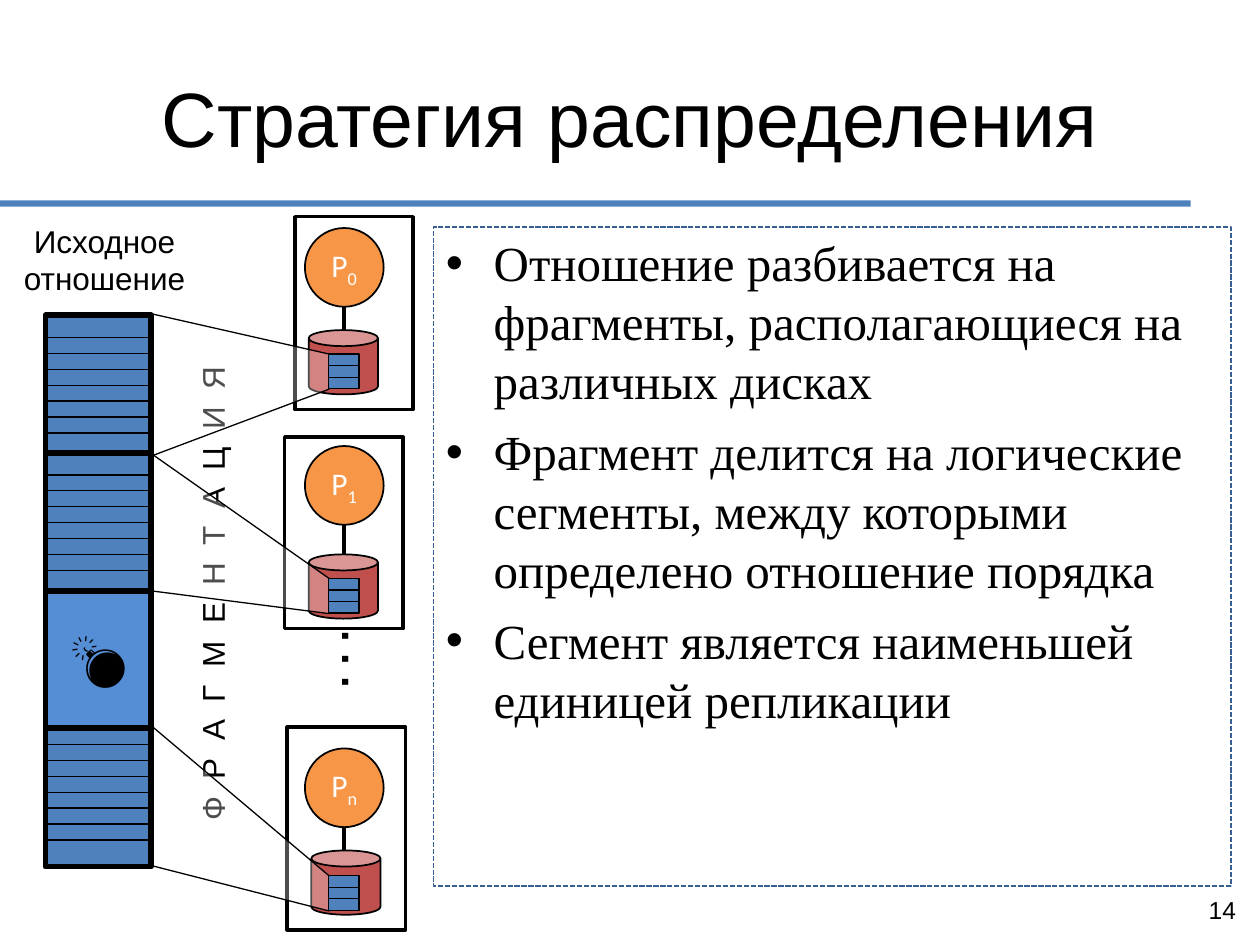
import pptx
import pptx.util
import pptx.dml.color
import pptx.enum.dml
import pptx.enum.shapes
import pptx.enum.text
import pptx.oxml.ns
from lxml import etree

COLORS = {
    "black": "000000", "white": "FFFFFF", "blue": "4F81BD", "navy": "376092",
    "sky": "558ED5", "orange": "F79646", "red": "C0504D",
}
COLUMNS, ROWS = 100, 75
SHAPE = pptx.enum.shapes.MSO_SHAPE
ALIGN = pptx.enum.text.PP_ALIGN
ANCHOR = pptx.enum.text.MSO_ANCHOR
qn = pptx.oxml.ns.qn


class Deck:
    """Style and current slide; lengths are columns and rows of the grid."""

    def __init__(self, width=10, height=7.5):
        self.prs = pptx.Presentation()
        self.prs.slide_width = pptx.util.Inches(width)
        self.prs.slide_height = pptx.util.Inches(height)
        self.slide = self.prs.slides.add_slide(self.prs.slide_layouts[6])
        self.shapes = self.slide.shapes

    def x(self, columns):
        return round(self.prs.slide_width * columns / COLUMNS)

    def y(self, rows):
        return round(self.prs.slide_height * rows / ROWS)

    def box(self, left, top, width, height):
        return self.x(left), self.y(top), self.x(width), self.y(height)

    def color(self, name):
        return pptx.dml.color.RGBColor.from_string(COLORS[name])

    def paint(self, sp, fill=None, line=None, weight=0.75):
        sp.shadow.inherit = False
        if fill:
            sp.fill.solid()
            sp.fill.fore_color.rgb = self.color(fill)
        else:
            sp.fill.background()
        if line:
            sp.line.color.rgb = self.color(line)
            sp.line.width = pptx.util.Pt(weight)
        else:
            sp.line.fill.background()
        return sp

    def shape(self, kind, box, fill=None, line="black", weight=0.75):
        return self.paint(self.shapes.add_shape(kind, *self.box(*box)), fill, line, weight)

    def run(self, p, text, size, font="Arial", color="black", bold=False):
        r = p.add_run()
        r.text = text
        r.font.size, r.font.name, r.font.bold = pptx.util.Pt(size), font, bold
        r.font.color.rgb = self.color(color)
        return r

    def text(self, box, text, size, align=ALIGN.CENTER, anchor=ANCHOR.MIDDLE,
             vert=None, bold=False, spacing=None, wrap=True):
        tf = self.shapes.add_textbox(*self.box(*box)).text_frame
        tf.word_wrap, tf.vertical_anchor = wrap, anchor
        tf.margin_left = tf.margin_right = tf.margin_top = tf.margin_bottom = 0
        if vert:
            tf._txBody.bodyPr.set("vert", vert)
        p = tf.paragraphs[0]
        p.alignment = align
        r = self.run(p, text, size, bold=bold)
        if spacing:
            r.font._element.set("spc", str(spacing))

    def bullets(self, box, items, size):
        sp = self.shape(SHAPE.RECTANGLE, box, None, "navy", 1)
        sp.line.dash_style = pptx.enum.dml.MSO_LINE.SQUARE_DOT
        tf = sp.text_frame
        tf.word_wrap, tf.vertical_anchor = True, ANCHOR.TOP
        for i, item in enumerate(items):
            p = tf.add_paragraph() if i else tf.paragraphs[0]
            p.alignment = ALIGN.LEFT
            if i:
                p.space_before = pptx.util.Pt(7)
            pPr = p._p.get_or_add_pPr()
            indent = self.x(3.8)
            pPr.set("marL", str(indent))
            pPr.set("indent", str(-indent))
            etree.SubElement(pPr, qn("a:buFont")).set("typeface", "Arial")
            etree.SubElement(pPr, qn("a:buChar")).set("char", "•")
            self.run(p, item, size, "Times New Roman")

    def line(self, x1, y1, x2, y2, weight):
        c = self.shapes.add_connector(pptx.enum.shapes.MSO_CONNECTOR.STRAIGHT,
                                      self.x(x1), self.y(y1), self.x(x2), self.y(y2))
        c.line.color.rgb = self.color("black")
        c.line.width = pptx.util.Pt(weight)
        etree.SubElement(c._element.spPr, qn("a:effectLst"))
        return c

    def beam(self, points, opacity=30):
        start, *rest = [(self.x(x), self.y(y)) for x, y in points]
        builder = self.shapes.build_freeform(*start)
        builder.add_line_segments(rest, close=True)
        sp = self.paint(builder.convert_to_shape(), "white", "black")
        fill = sp._element.spPr.find(qn("a:solidFill"))
        etree.SubElement(fill[0], qn("a:alpha")).set("val", str(opacity * 1000))

    def node(self, left, top, size, label, index):
        sp = self.shape(SHAPE.OVAL, (left, top, size, size), "orange", weight=1)
        tf = sp.text_frame
        tf.vertical_anchor = ANCHOR.MIDDLE
        p = tf.paragraphs[0]
        p.alignment = ALIGN.CENTER
        self.run(p, label, 18, "Calibri", "white")
        r = self.run(p, index, 18, "Calibri", "white")
        r.font._element.set("baseline", "-25000")

    def stack(self, left, width, edges):
        for top, bottom in zip(edges, edges[1:]):
            self.shape(SHAPE.RECTANGLE, (left, top, width, bottom - top), "blue")

    def relation(self, box, rows, marked, symbol):
        table = self.shapes.add_table(rows, 1, *self.box(*box)).table
        table.first_row = table.horz_banding = False
        for i in range(rows):
            cell = table.cell(i, 0)
            cell.fill.solid()
            cell.fill.fore_color.rgb = self.color("sky" if i == marked else "blue")
            cell.vertical_anchor = ANCHOR.MIDDLE
            cell.margin_left = cell.margin_right = self.x(0.5)
            if i == marked:
                p = cell.text_frame.paragraphs[0]
                p.alignment = ALIGN.CENTER
                self.run(p, symbol, 32, "Roboto")


def main():
    deck = Deck()

    # Heading
    deck.shape(SHAPE.RECTANGLE, (0, 15.9, 94.5, 0.5), "blue", None)
    deck.text((5, 3, 90, 12.5), "Стратегия распределения", 44)
    deck.text((13.7, 27, 6.3, 40.2), "Ф Р А Г М Е Н Т А Ц И Я", 18,
              vert="vert270", spacing=250, wrap=False)

    # Processors: index, frame, circle top, disk left and top, fragment top, beam edges
    processors = [
        ("0", (23.4, 17.2, 9.4, 15.3), 18.1, 24.5, 26.2, 28.1, (24.9, 36.2)),
        ("1", (22.6, 34.7, 9.4, 15.2), 35.4, 24.5, 44, 45.9, (36, 46.9)),
        ("n", (22.8, 57.7, 9.4, 16.1), 59.4, 24.7, 67.5, 69.5, (57.6, 68.7)),
    ]
    for _, frame, _, disk_left, disk_top, _, _ in processors:
        deck.shape(SHAPE.RECTANGLE, frame, weight=2)
        deck.shape(SHAPE.CAN, (disk_left, disk_top, 5.5, 5.1), "red", weight=1)

    # Source relation
    deck.relation((3.7, 25, 8.3, 43.7), 4, 2, "💣")
    deck.text((1.6, 17.6, 13.4, 6), "Исходное отношение", 18)

    # Fragments on their disks
    for index, _, top, _, disk_top, part_top, (high, low) in processors:
        deck.beam([(12, high), (26.1, part_top), (26.1, part_top + 2.8), (12, low)])
        deck.node(24.2, top, 6.25, "P", index)
        deck.line(27.3, top + 6.25, 27.3, disk_top, 2)
        deck.stack(26.1, 2.4, [part_top + 0.92 * i for i in range(4)])
    deck.text((26.5, 50, 4, 7.8), ". . .", 24, anchor=ANCHOR.TOP, vert="eaVert", bold=True)

    # Segments of the relation: top edge, first inner edge, bottom edge
    for top, first, bottom in [(25, 26.8, 36), (36.1, 37.7, 46.8), (57.6, 59.1, 68.8)]:
        deck.stack(3.6, 8.5, [top, *(first + 1.26 * i for i in range(7)), bottom])
    outline = deck.shape(SHAPE.RECTANGLE, (3.6, 25, 8.4, 43.8), weight=3)
    for i in (1, 2, 3):
        level = 25 + 43.8 * i / 4
        divider = deck.line(3.6, level, 12, level, 3)
        if i == 2:
            divider.begin_connect(outline, 1)
            divider.end_connect(outline, 3)

    # Explanation and page number
    deck.bullets((34.4, 18, 63.3, 52.3), [
        "Отношение разбивается на фрагменты, располагающиеся на различных дисках",
        "Фрагмент делится на логические сегменты, между которыми определено отношение порядка",
        "Сегмент является наименьшей единицей репликации",
    ], 28)
    deck.text((75.8, 70.2, 22.3, 4), "14", 14, ALIGN.RIGHT)

    deck.prs.save("out.pptx")


if __name__ == "__main__":
    main()
